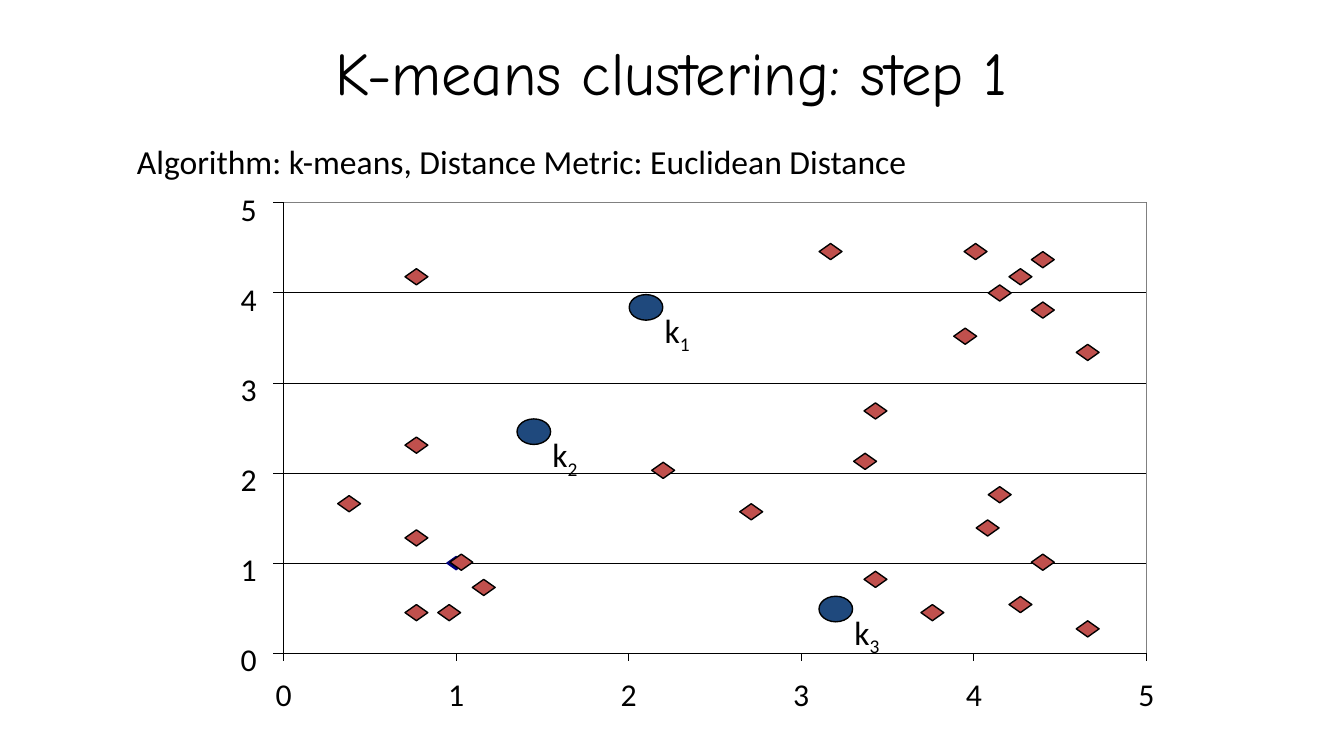
from lxml.etree import SubElement
from pptx import Presentation
from pptx.dml.color import RGBColor
from pptx.enum.shapes import MSO_CONNECTOR, MSO_SHAPE
from pptx.enum.text import MSO_ANCHOR, PP_ALIGN
from pptx.oxml.ns import qn
from pptx.util import Inches, Pt

BLACK = RGBColor(0x00, 0x00, 0x00)
WHITE = RGBColor(0xFF, 0xFF, 0xFF)
GRAY = RGBColor(0x80, 0x80, 0x80)
NAVY = RGBColor(0x00, 0x00, 0x80)
RED = RGBColor(0xC0, 0x50, 0x4D)
BLUE = RGBColor(0x1F, 0x49, 0x7D)

# The plot is a grid of 5 columns and 5 rows, counted from its lower left corner.
CELLS = 5
COLUMN = Inches(6.42) / CELLS
ROW = Inches(0.67)
LEFT, BOTTOM = Inches(2.11), Inches(4.86)
TICK_X, TICK_Y = 0.06, 0.08  # tick lengths in columns and rows
HAIRLINE = Pt(0.01)

POINTS = [
    (1.03, 1.01), (1.16, 0.73), (0.96, 0.45), (0.77, 1.28), (0.77, 4.18),
    (0.77, 2.31), (0.77, 0.45), (0.38, 1.66), (2.20, 2.03), (4.01, 4.46),
    (4.40, 4.37), (4.27, 4.18), (4.15, 4.00), (4.40, 3.81), (4.66, 3.34),
    (3.17, 4.46), (3.43, 2.69), (3.43, 0.82), (3.76, 0.45), (4.08, 1.39),
    (3.37, 2.13), (2.71, 1.57), (4.40, 1.01), (4.27, 0.54), (4.15, 1.76),
    (4.66, 0.27), (3.95, 3.52),
]
CENTROIDS = [(2.10, 3.84), (1.45, 2.46), (3.20, 0.49)]

presentation = Presentation()
presentation.slide_width = Inches(10)
presentation.slide_height = presentation.slide_width * 9 // 16
slide = presentation.slides.add_slide(presentation.slide_layouts[6])
shapes = slide.shapes


def add_marker(kind, column, row, width, height, fill, line, line_width=0.75):
    """Add a shape centred on a point of the plot; None means no fill or line."""
    shape = shapes.add_shape(
        kind, int(LEFT + column * COLUMN - Inches(width) / 2),
        int(BOTTOM - row * ROW - Inches(height) / 2), Inches(width), Inches(height))
    shape.shadow.inherit = False
    for part, color in ((shape.fill, fill), (shape.line.fill, line)):
        if color is None:
            part.background()
        else:
            part.solid()
            part.fore_color.rgb = color
    if line is not None:
        shape.line.width = Pt(line_width)


def add_text(text, left, top, width, height, size=18, font="Calibri", margin=None):
    box = shapes.add_textbox(int(left), int(top), Inches(width), Inches(height))
    frame = box.text_frame
    frame.word_wrap = False
    if margin is not None:
        frame.margin_left = frame.margin_right = margin
        frame.margin_top = frame.margin_bottom = margin
    paragraph = frame.paragraphs[0]
    paragraph.text = text
    paragraph.font.size = Pt(size)
    paragraph.font.name = font
    paragraph.font.color.rgb = BLACK
    return frame


# Plot area, grid lines, frame, axes and ticks
middle = CELLS / 2
add_marker(MSO_SHAPE.RECTANGLE, middle, middle, 6.42, 3.35, WHITE, None)
grid_lines = [(0, row, CELLS, row) for row in range(1, CELLS + 1)]
axes = [(0, 0, 0, CELLS), (0, 0, CELLS, 0)]
ticks = [(-TICK_X, row, 0, row) for row in range(CELLS + 1)]
ticks += [(column, -TICK_Y, column, 0) for column in range(CELLS + 1)]
for group in (grid_lines, axes + ticks):
    for x1, y1, x2, y2 in group:
        connector = shapes.add_connector(
            MSO_CONNECTOR.STRAIGHT,
            int(LEFT + x1 * COLUMN), int(BOTTOM - y1 * ROW),
            int(LEFT + x2 * COLUMN), int(BOTTOM - y2 * ROW))
        connector.line.color.rgb = BLACK
        connector.line.width = HAIRLINE
        SubElement(connector._element.spPr, qn("a:effectLst"))
    if group is grid_lines:
        add_marker(MSO_SHAPE.RECTANGLE, middle, middle, 6.42, 3.35, None, GRAY, 0.63)

# Axis numbers
for number in range(CELLS + 1):
    add_text(str(number), Inches(1.79), BOTTOM - number * ROW - Inches(0.1),
             0.12, 0.29, size=17, margin=0)
    add_text(str(number), LEFT + number * COLUMN - Inches(0.06), Inches(5.02),
             0.12, 0.29, size=17, margin=0)

# Headings
title = add_text("K-means clustering: step 1", Inches(0.75), Inches(0.31),
                 8.5, 0.44, size=32.4, font="Comic Neue")
title.word_wrap = True
title.vertical_anchor = MSO_ANCHOR.MIDDLE
title.paragraphs[0].alignment = PP_ALIGN.CENTER
add_text("Algorithm: k-means, Distance Metric: Euclidean Distance",
         Inches(0.92), Inches(1), 6.01, 0.4)

# Data points
add_marker(MSO_SHAPE.DIAMOND, 1, 1, 0.14, 0.1, NAVY, NAVY, 0.63)
for column, row in POINTS:
    add_marker(MSO_SHAPE.DIAMOND, column, row, 0.17, 0.12, RED, BLACK)

# Cluster centres with their subscripted names
for index, (column, row) in enumerate(CENTROIDS, start=1):
    add_marker(MSO_SHAPE.OVAL, column, row, 0.25, 0.19, BLUE, BLACK)
    label = add_text("k", LEFT + column * COLUMN + Inches(0.04),
                     BOTTOM - row * ROW - Inches(0.03), 0.58, 0.4)
    label.word_wrap = True
    subscript = label.paragraphs[0].add_run()
    subscript.text = str(index)
    subscript.font._element.set("baseline", "-25000")

presentation.save("out.pptx")
